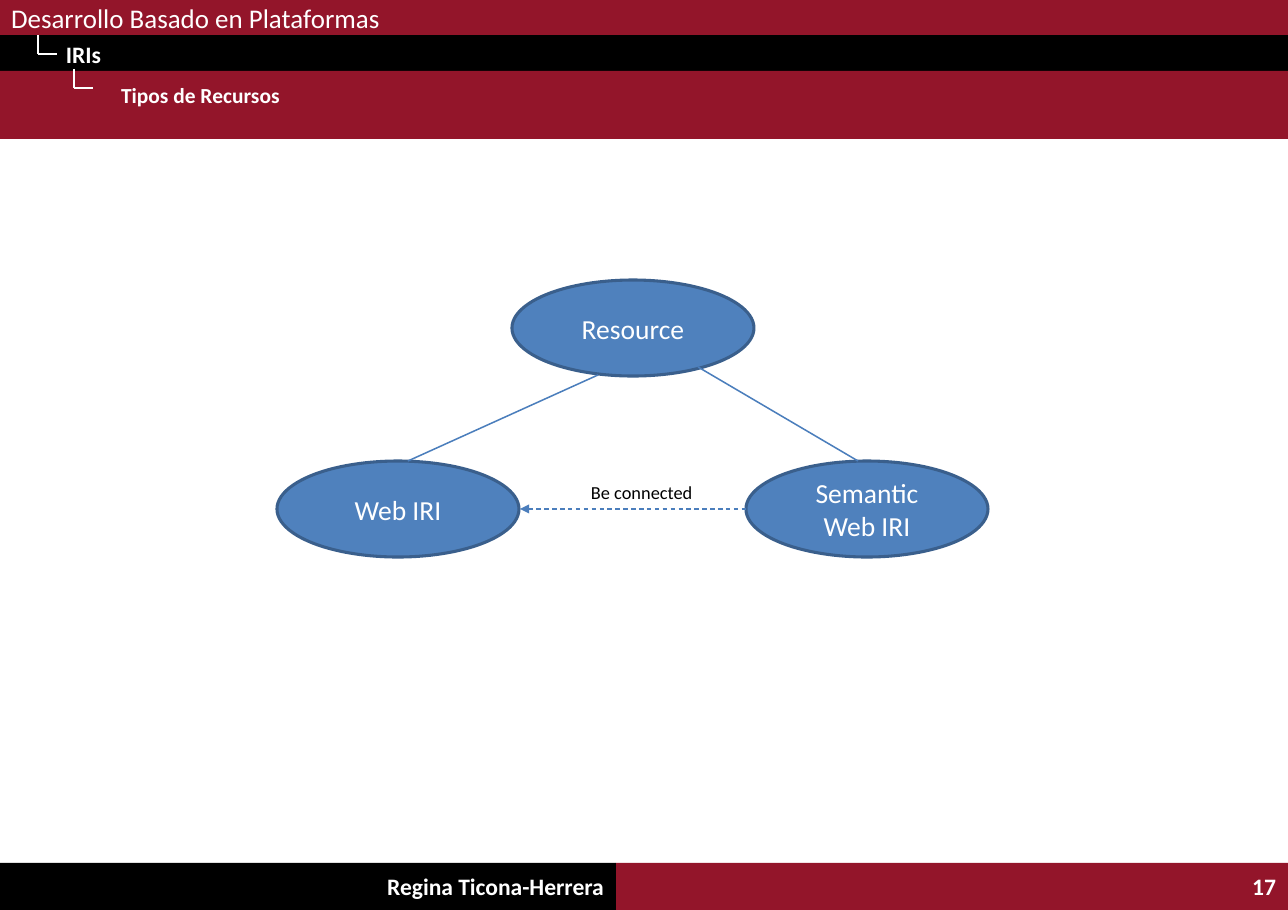
import pptx
import pptx.util
import pptx.dml.color
import pptx.enum.dml
import pptx.enum.shapes
import pptx.enum.text
import pptx.oxml

EMU_PER_PX = 914400 / 110.2
WIDTH, HEIGHT = 1288, 910
COLORS = {
    "red": "93152A",
    "black": "000000",
    "white": "FFFFFF",
    "node": "4F81BD",
    "node_edge": "3A5F8C",
    "link": "4B7EBC",
}
SHAPE = pptx.enum.shapes.MSO_SHAPE
ALIGN = pptx.enum.text.PP_ALIGN
ANCHOR = pptx.enum.text.MSO_ANCHOR


def px(n):
    return pptx.util.Emu(round(n * EMU_PER_PX))


def rgb(name):
    return pptx.dml.color.RGBColor.from_string(COLORS[name])


class Deck:
    font = "Calibri"

    def __init__(self):
        self.prs = pptx.Presentation()
        self.prs.slide_width, self.prs.slide_height = px(WIDTH), px(HEIGHT)
        self.slide = self.prs.slides.add_slide(self.prs.slide_layouts[6])

    def set_text(self, sp, text, size, color="white", bold=False,
                 align=ALIGN.LEFT, anchor=ANCHOR.MIDDLE, insets=(11, 6, 11, 6)):
        """Set one paragraph; insets are left, top, right, bottom."""
        tf = sp.text_frame
        tf.word_wrap = True
        tf.vertical_anchor = anchor
        (tf.margin_left, tf.margin_top,
         tf.margin_right, tf.margin_bottom) = map(px, insets)
        p = tf.paragraphs[0]
        p.alignment = align
        r = p.add_run()
        r.text = text
        r.font.name = self.font
        r.font.size = pptx.util.Pt(size)
        r.font.bold = bold
        r.font.color.rgb = rgb(color)

    def shape(self, kind, box, fill):
        sp = self.slide.shapes.add_shape(kind, *map(px, box))
        sp.shadow.inherit = False
        sp.fill.solid()
        sp.fill.fore_color.rgb = rgb(fill)
        sp.line.fill.background()
        return sp

    def bar(self, box, fill, text, size, **style):
        self.set_text(self.shape(SHAPE.RECTANGLE, box, fill), text, size, **style)

    def node(self, x, y, text):
        sp = self.shape(SHAPE.OVAL, (x, y, 242, 96), "node")
        sp.line.color.rgb = rgb("node_edge")
        sp.line.width = pptx.util.Pt(2)
        self.set_text(sp, text, 18, align=ALIGN.CENTER)

    def label(self, box, text, size, color):
        sp = self.slide.shapes.add_textbox(*map(px, box))
        self.set_text(sp, text, size, color, anchor=ANCHOR.TOP)

    def line(self, start, end, color, width, dashed_arrow=False):
        """Draw a line; dashed_arrow dashes it and points it at start."""
        cx = self.slide.shapes.add_connector(
            pptx.enum.shapes.MSO_CONNECTOR.STRAIGHT, *map(px, start + end))
        cx.line.color.rgb = rgb(color)
        cx.line.width = pptx.util.Pt(width)
        if dashed_arrow:
            cx.line.dash_style = pptx.enum.dml.MSO_LINE.DASH
            self.add_xml(cx._element.spPr.ln, "headEnd", 'type="triangle"')
        self.add_xml(cx._element.spPr, "effectLst")

    def add_xml(self, parent, tag, attrs=""):
        ns = "http://schemas.openxmlformats.org/drawingml/2006/main"
        parent.append(pptx.oxml.parse_xml(f'<a:{tag} xmlns:a="{ns}" {attrs}/>'))

    def elbow(self, x, y, size=19):
        self.line((x, y), (x, y + size), "white", 0.75)
        self.line((x, y + size), (x + size, y + size), "white", 0.75)


def main():
    deck = Deck()

    # Header breadcrumb
    deck.bar((0, 0, WIDTH, 36), "red", "Desarrollo Basado en Plataformas", 17.6)
    deck.bar((0, 35, WIDTH, 39), "black", "IRIs", 15.4, bold=True,
             insets=(66, 6, 11, 6))
    deck.bar((0, 71, WIDTH, 68), "red", "Tipos de Recursos", 14, bold=True,
             anchor=ANCHOR.TOP, insets=(121, 11, 11, 6))
    deck.elbow(38, 35)
    deck.elbow(74, 69)

    # Footer
    split, footer_top = 616, 863
    footer_height = HEIGHT - footer_top
    footer = {"bold": True, "align": ALIGN.RIGHT, "insets": (12, 6, 12, 6)}
    deck.bar((split, footer_top, WIDTH - split, footer_height), "red",
             "17", 15.4, **footer)
    deck.bar((0, footer_top, split, footer_height), "black",
             "Regina Ticona-Herrera", 15.4, **footer)

    # Resource types
    for x, y, text in ((277, 461, "Web IRI"), (512, 280, "Resource"),
                       (746, 461, "Semantic Web IRI")):
        deck.node(x, y, text)
    deck.line((598, 375), (408, 461), "link", 1)
    deck.line((698, 367), (858, 461), "link", 1)
    deck.line((520, 509), (746, 509), "link", 0.75, dashed_arrow=True)
    deck.label((580, 475, 130, 33), "Be connected", 12, "black")

    deck.prs.save("out.pptx")


if __name__ == "__main__":
    main()
